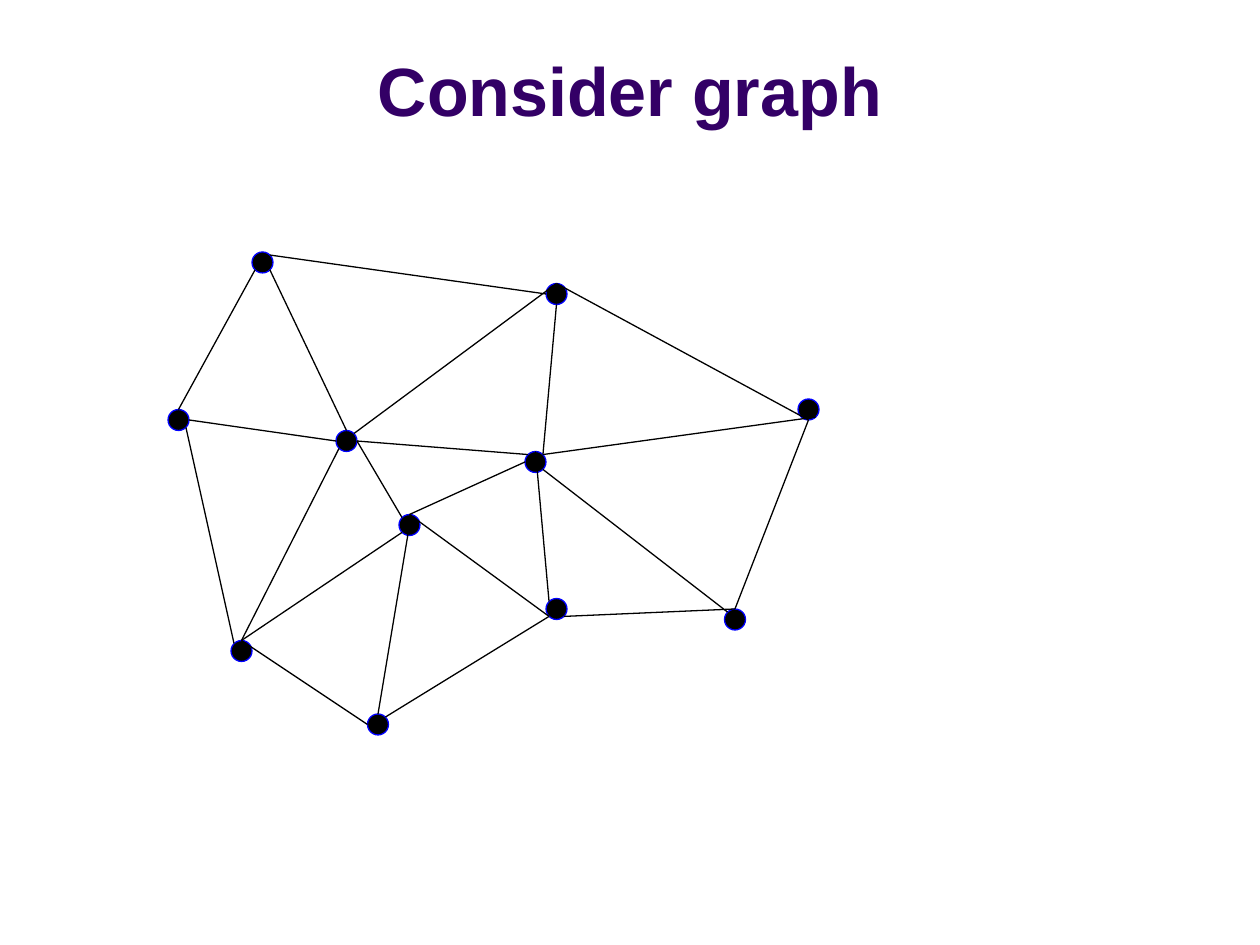
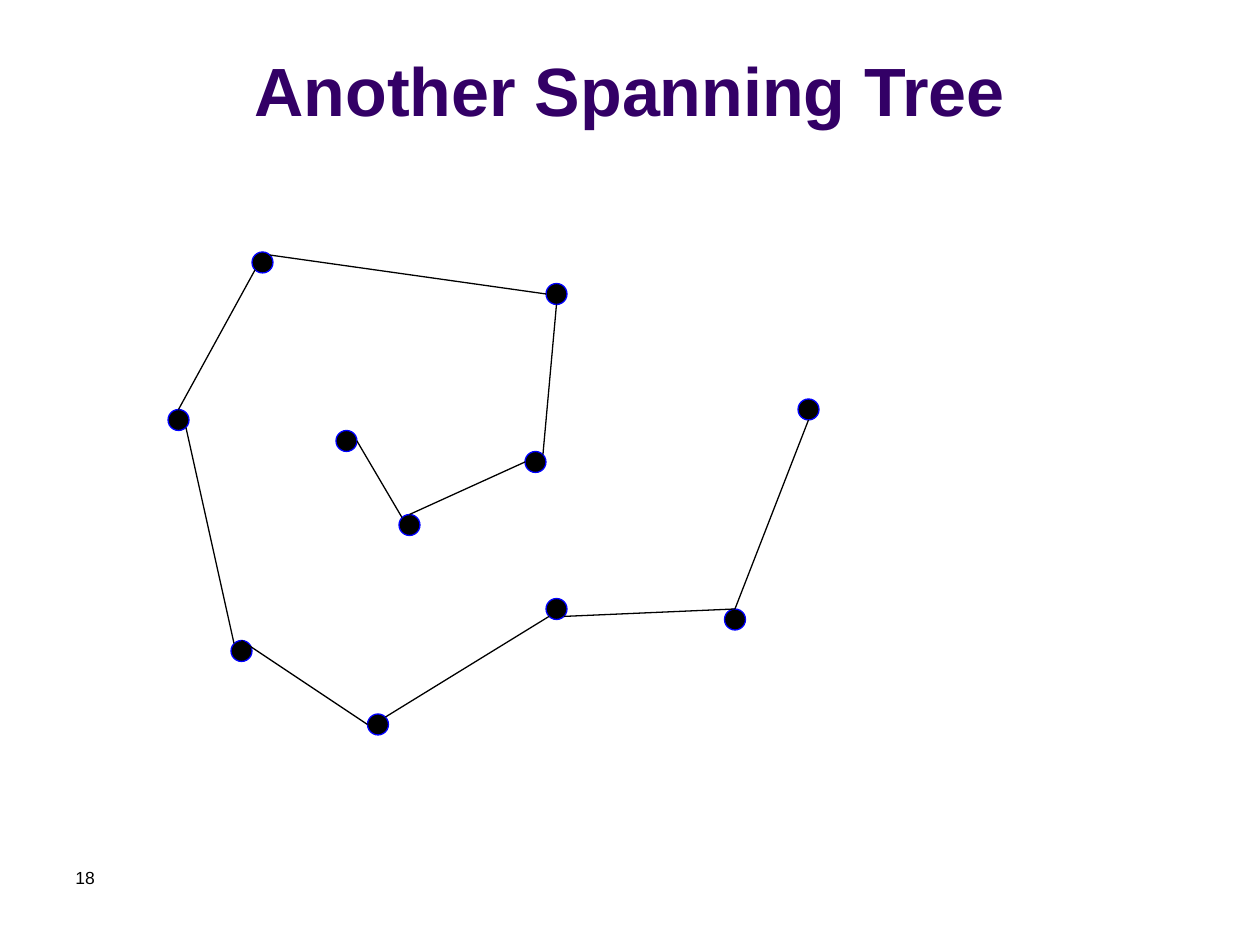
from lxml.etree import SubElement
from pptx import Presentation
from pptx.dml.color import RGBColor as Rgb
from pptx.enum.shapes import MSO_CONNECTOR as Link, MSO_SHAPE as Kind
from pptx.enum.text import MSO_ANCHOR as Anchor, PP_ALIGN as Align
from pptx.oxml.ns import qn
from pptx.util import Inches, Pt

HUES = {"title": "330066", "ink": "000000", "rim": "0000FF"}
FACE = "Arial"
CELL = Inches(10) // 120
COLS, ROWS = 120, 90
RIM = Pt(0.75)
GRAPH = (16, 24)

NODES = {
    "A": (8, 0), "B": (0, 15), "C": (36, 3), "D": (36, 33),
    "E": (19, 44), "F": (16, 17), "G": (60, 14), "H": (22, 25),
    "I": (6, 37), "J": (34, 19), "K": (53, 34),
}
SITES = {
    "c": (0, 0), "n": (0, -1), "s": (0, 1), "w": (-1, 0), "e": (1, 0),
    "nw": (-0.71, -0.71), "ne": (0.71, -0.71),
    "sw": (-0.71, 0.71), "se": (0.71, 0.71),
}
TREE = [
    "A.sw B.n", "B.se I.nw", "F.e H.nw", "C.s J.ne", "G.s K.n",
    "I.n E.w", "K.n D.se", "E.ne D.sw", "H.n J.w", "A.ne C.w",
]
REST = [
    "A.se F.n", "J.se K.nw", "C.n G.s", "H.n D.sw", "J.n D.nw", "H.c E.n",
    "F.e J.nw", "B.e F.w", "I.n H.sw", "I.n F.sw", "J.ne G.se", "F.ne C.n",
]


def hue(name):
    return Rgb.from_string(HUES[name])


def grid(*cells):
    return [round(cell * CELL) for cell in cells]


def style(par, size, name, bold=False):
    font = par.font
    font.name, font.size, font.bold = FACE, Pt(size), bold
    font.color.rgb = hue(name)


def add_page(deck, text):
    page = deck.slides.add_slide(deck.slide_layouts[5])
    head = page.shapes.title
    head.left, head.top, head.width, head.height = grid(0, 1.5, COLS, 11.5)
    frame = head.text_frame
    frame.text = text
    frame.vertical_anchor = Anchor.BOTTOM
    par = frame.paragraphs[0]
    par.alignment = Align.CENTER
    style(par, 39, "title", True)
    return page


def add_node(shapes, left, top):
    dot = shapes.add_shape(Kind.OVAL, *grid(left, top, 2, 2))
    dot.shadow.inherit = False
    dot.fill.solid()
    dot.fill.fore_color.rgb = hue("ink")
    dot.line.color.rgb = hue("rim")
    dot.line.width = RIM


def find_end(spot, left, top):
    node, site = spot.split(".")
    col, row = NODES[node]
    dx, dy = SITES[site]
    return grid(left + col + 1 + dx, top + row + 1 + dy)


def add_edge(shapes, edge, left, top):
    start, end = [find_end(spot, left, top) for spot in edge.split()]
    line = shapes.add_connector(Link.STRAIGHT, *start, *end)
    line.line.color.rgb = hue("ink")
    line.line.width = RIM
    SubElement(line._element.spPr, qn("a:effectLst"))


def add_graph(shapes, edges, left, top):
    for col, row in NODES.values():
        add_node(shapes, left + col, top + row)
    for edge in edges:
        add_edge(shapes, edge, left, top)


def add_number(page, text):
    frame = page.shapes.add_textbox(*grid(6, 82, 28, 6)).text_frame
    frame.word_wrap = True
    frame.text = text
    style(frame.paragraphs[0], 10, "ink")


def main():
    deck = Presentation()
    deck.slide_width, deck.slide_height = grid(COLS, ROWS)
    page = add_page(deck, "Consider graph")
    add_graph(page.shapes.add_group_shape().shapes, TREE + REST, *GRAPH)
    page = add_page(deck, "Another Spanning Tree")
    add_number(page, "18")
    add_graph(page.shapes, TREE, *GRAPH)
    deck.save("out.pptx")


if __name__ == "__main__":
    main()
